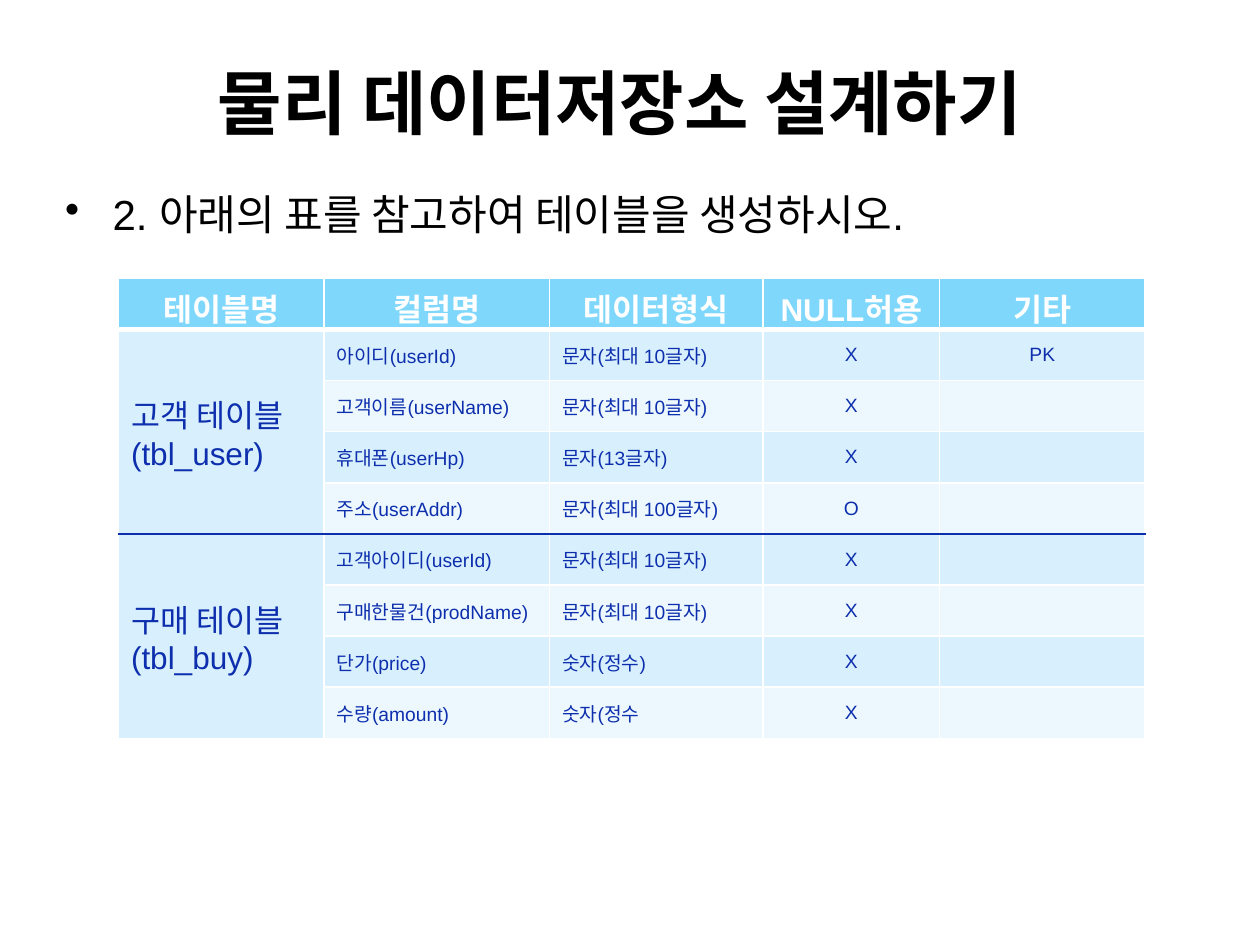
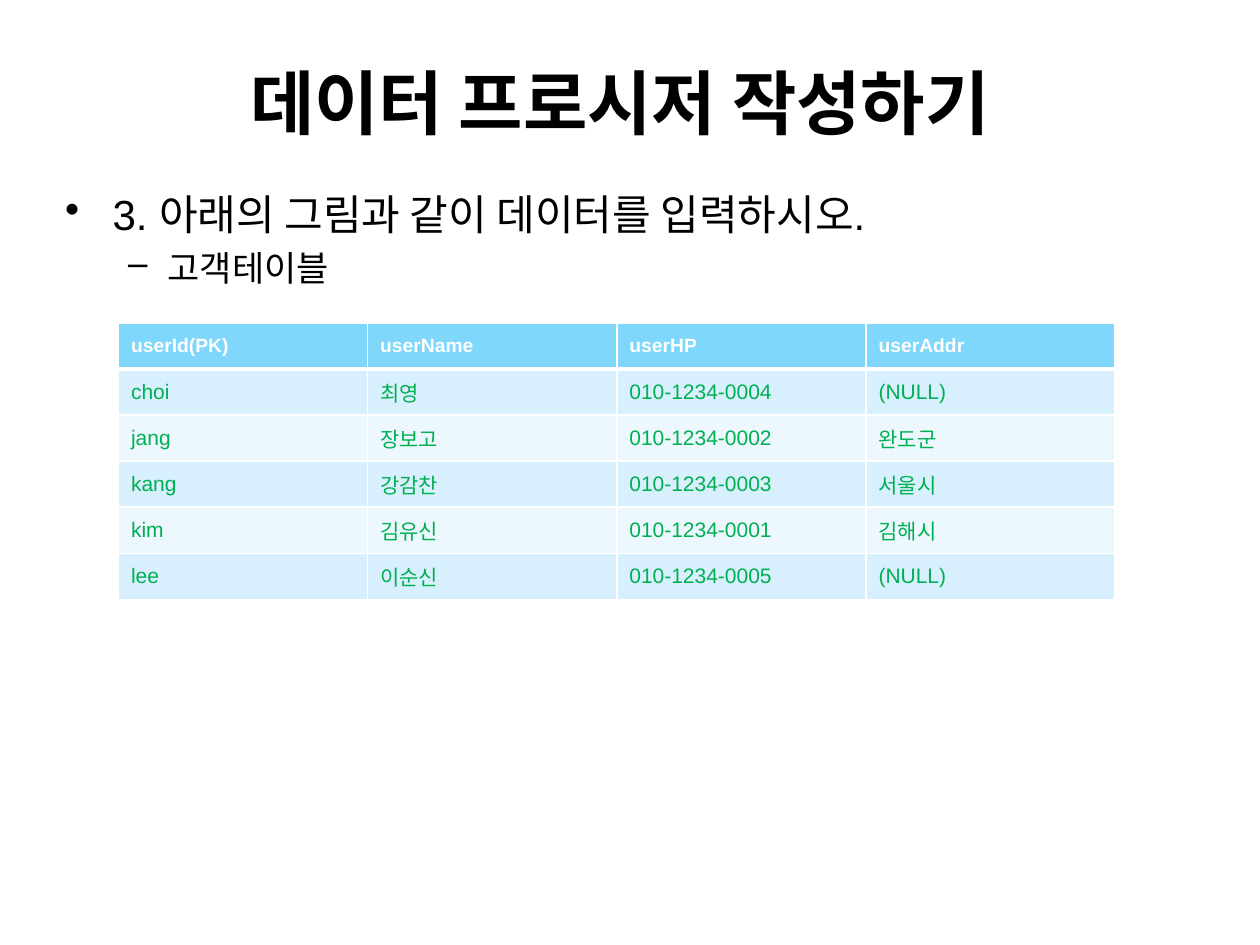
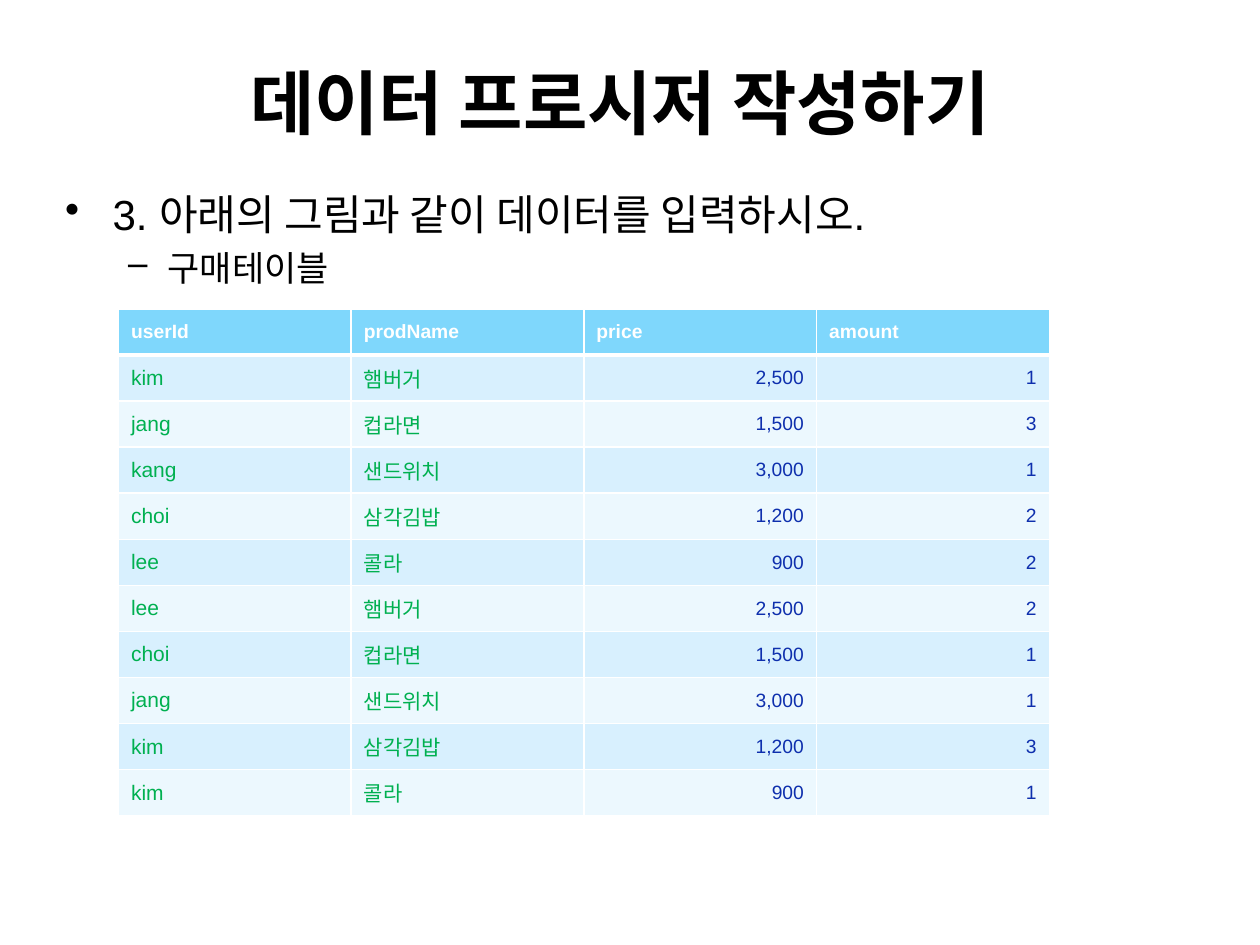
from dataclasses import dataclass

import pptx
import pptx.dml.color
import pptx.enum.text
import pptx.oxml.ns
import pptx.util
from lxml import etree

Pt = pptx.util.Pt
RGBColor = pptx.dml.color.RGBColor
ALIGN = pptx.enum.text.PP_ALIGN
ANCHOR = pptx.enum.text.MSO_ANCHOR
qn = pptx.oxml.ns.qn

# Shared style
FONT = "Arial"
BLACK = RGBColor(0x00, 0x00, 0x00)
WHITE = RGBColor(0xFF, 0xFF, 0xFF)
NAVY = RGBColor(0x0E, 0x2F, 0xAD)
GREEN = RGBColor(0x00, 0xB0, 0x50)
HEADER_FILL = RGBColor(0x7F, 0xD7, 0xFC)
BAND_FILLS = (RGBColor(0xD8, 0xF0, 0xFE), RGBColor(0xEC, 0xF8, 0xFE))
TEXT_LEFT = 30.2
TABLE_LEFT = 67.7
DATA_ROW_HEIGHT = 26.35

# Outline levels: bullet, size, left indent, hanging indent
LEVELS = (("•", 24, 27, 27), ("–", 20, 58.5, 22.5))


@dataclass
class Column:
    width: float
    size: float
    color: RGBColor
    align: ALIGN = ALIGN.LEFT


# Slide contents
DESIGN_COLUMNS = (
    Column(117.4, 18, NAVY),
    Column(128.9, 11, NAVY),
    Column(122.2, 11, NAVY),
    Column(100.8, 11, NAVY, ALIGN.CENTER),
    Column(117.4, 11, NAVY, ALIGN.CENTER),
)
DESIGN_ROWS = (
    ("테이블명", "컬럼명", "데이터형식", "NULL허용", "기타"),
    ("고객 테이블(tbl_user)", "아이디(userId)", "문자(최대 10글자)", "X", "PK"),
    ("", "고객이름(userName)", "문자(최대 10글자)", "X", ""),
    ("", "휴대폰(userHp)", "문자(13글자)", "X", ""),
    ("", "주소(userAddr)", "문자(최대 100글자)", "O", ""),
    ("구매 테이블(tbl_buy)", "고객아이디(userId)", "문자(최대 10글자)", "X", ""),
    ("", "구매한물건(prodName)", "문자(최대 10글자)", "X", ""),
    ("", "단가(price)", "숫자(정수)", "X", ""),
    ("", "수량(amount)", "숫자(정수", "X", ""),
)
TABLE_GROUPS = ((1, 4), (5, 8))

USER_COLUMNS = (Column(142.4, 12, GREEN),) * 4
USER_ROWS = (
    ("userId(PK)", "userName", "userHP", "userAddr"),
    ("choi", "최영", "010-1234-0004", "(NULL)"),
    ("jang", "장보고", "010-1234-0002", "완도군"),
    ("kang", "강감찬", "010-1234-0003", "서울시"),
    ("kim", "김유신", "010-1234-0001", "김해시"),
    ("lee", "이순신", "010-1234-0005", "(NULL)"),
)

BUY_COLUMNS = (Column(133, 12, GREEN),) * 2 + (Column(133, 11, NAVY, ALIGN.RIGHT),) * 2
BUY_ROWS = (
    ("userId", "prodName", "price", "amount"),
    ("kim", "햄버거", "2,500", "1"),
    ("jang", "컵라면", "1,500", "3"),
    ("kang", "샌드위치", "3,000", "1"),
    ("choi", "삼각김밥", "1,200", "2"),
    ("lee", "콜라", "900", "2"),
    ("lee", "햄버거", "2,500", "2"),
    ("choi", "컵라면", "1,500", "1"),
    ("jang", "샌드위치", "3,000", "1"),
    ("kim", "삼각김밥", "1,200", "3"),
    ("kim", "콜라", "900", "1"),
)


def format_para(para, size, color, bold=False, align=ALIGN.LEFT):
    para.alignment = align
    para.font.name = FONT
    para.font.size = Pt(size)
    para.font.bold = bold
    para.font.color.rgb = color


def add_page(deck, title):
    page = deck.slides.add_slide(deck.slide_layouts[5])
    box = page.shapes.title
    box.left, box.top, box.width, box.height = Pt(TEXT_LEFT), Pt(13), Pt(648), Pt(90)
    frame = box.text_frame
    frame.text = title
    frame.auto_size = pptx.enum.text.MSO_AUTO_SIZE.NONE
    frame.vertical_anchor = ANCHOR.MIDDLE
    format_para(frame.paragraphs[0], 40, BLACK, True, ALIGN.CENTER)
    return page


def add_outline(page, *lines):
    """Write one line of text for each outline level."""
    box = page.shapes.add_textbox(Pt(TEXT_LEFT), Pt(104.4), Pt(658), Pt(326))
    frame = box.text_frame
    frame.word_wrap = True
    frame.text = "\n".join(lines)
    for para, (bullet, size, indent, hanging) in zip(frame.paragraphs, LEVELS):
        format_para(para, size, BLACK)
        para.space_before = Pt(size * 0.2)
        properties = para._p.get_or_add_pPr()
        properties.set("marL", str(Pt(indent)))
        properties.set("indent", str(-Pt(hanging)))
        mark = etree.Element(qn("a:buChar"), char=bullet)
        properties.find(qn("a:defRPr")).addprevious(mark)


def set_borders(cell, top, bottom):
    """Draw the four borders; top and bottom are (colour, width) pairs."""
    side = (WHITE, 1)
    properties = cell._tc.get_or_add_tcPr()
    edges = (("a:lnL", side), ("a:lnR", side), ("a:lnT", top), ("a:lnB", bottom))
    for position, (tag, (color, width)) in enumerate(edges):
        line = etree.Element(qn(tag), w=str(Pt(width)))
        fill = etree.SubElement(line, qn("a:solidFill"))
        etree.SubElement(fill, qn("a:srgbClr"), val=str(color))
        properties.insert(position, line)


def add_table(page, top, row_height, columns, rows, header_size,
              header_align=ALIGN.LEFT, groups=()):
    """Add a banded table; groups are row ranges merged in the first column."""
    width = sum(column.width for column in columns)
    frame = page.shapes.add_table(len(rows), len(columns), Pt(TABLE_LEFT), Pt(top),
                                  Pt(width), Pt(row_height * len(rows)))
    table = frame.table
    table.horz_banding = False
    for index, column in enumerate(columns):
        table.columns[index].width = Pt(column.width)

    # Horizontal rules, listed from the top edge of each row
    rules = [(WHITE, 1)] * (len(rows) + 1)
    rules[1] = (WHITE, 3)
    for first, _ in groups[1:]:
        rules[first] = (NAVY, 1)
    group_ends = {first: last for first, last in groups}
    grouped_rows = {row for first, last in groups for row in range(first, last + 1)}

    for row, values in enumerate(rows):
        table.rows[row].height = Pt(row_height)
        for index, (column, value) in enumerate(zip(columns, values)):
            cell = table.cell(row, index)
            cell.text = value
            cell.vertical_anchor = ANCHOR.MIDDLE
            cell.fill.solid()
            para = cell.text_frame.paragraphs[0]
            if row == 0:
                cell.fill.fore_color.rgb = HEADER_FILL
                format_para(para, header_size, WHITE, True, header_align)
            else:
                merged = index == 0 and row in grouped_rows
                cell.fill.fore_color.rgb = BAND_FILLS[0 if merged else (row - 1) % 2]
                format_para(para, column.size, column.color, align=column.align)
            last = group_ends.get(row, row) if index == 0 else row
            set_borders(cell, rules[row], rules[last + 1])
    for first, last in groups:
        table.cell(first, 0).merge(table.cell(last, 0))


def main():
    deck = pptx.Presentation()
    deck.slide_width, deck.slide_height = Pt(720), Pt(540)

    # Table design
    page = add_page(deck, "물리 데이터저장소 설계하기")
    add_outline(page, "2. 아래의 표를 참고하여 테이블을 생성하시오.")
    add_table(page, 159.1, 29.2, DESIGN_COLUMNS, DESIGN_ROWS, 18, ALIGN.CENTER, TABLE_GROUPS)

    # Data to enter
    for name, top, columns, rows in (
        ("고객테이블", 184.5, USER_COLUMNS, USER_ROWS),
        ("구매테이블", 176.5, BUY_COLUMNS, BUY_ROWS),
    ):
        page = add_page(deck, "데이터 프로시저 작성하기")
        add_outline(page, "3. 아래의 그림과 같이 데이터를 입력하시오.", name)
        add_table(page, top, DATA_ROW_HEIGHT, columns, rows, 11)

    deck.save("out.pptx")


if __name__ == "__main__":
    main()
